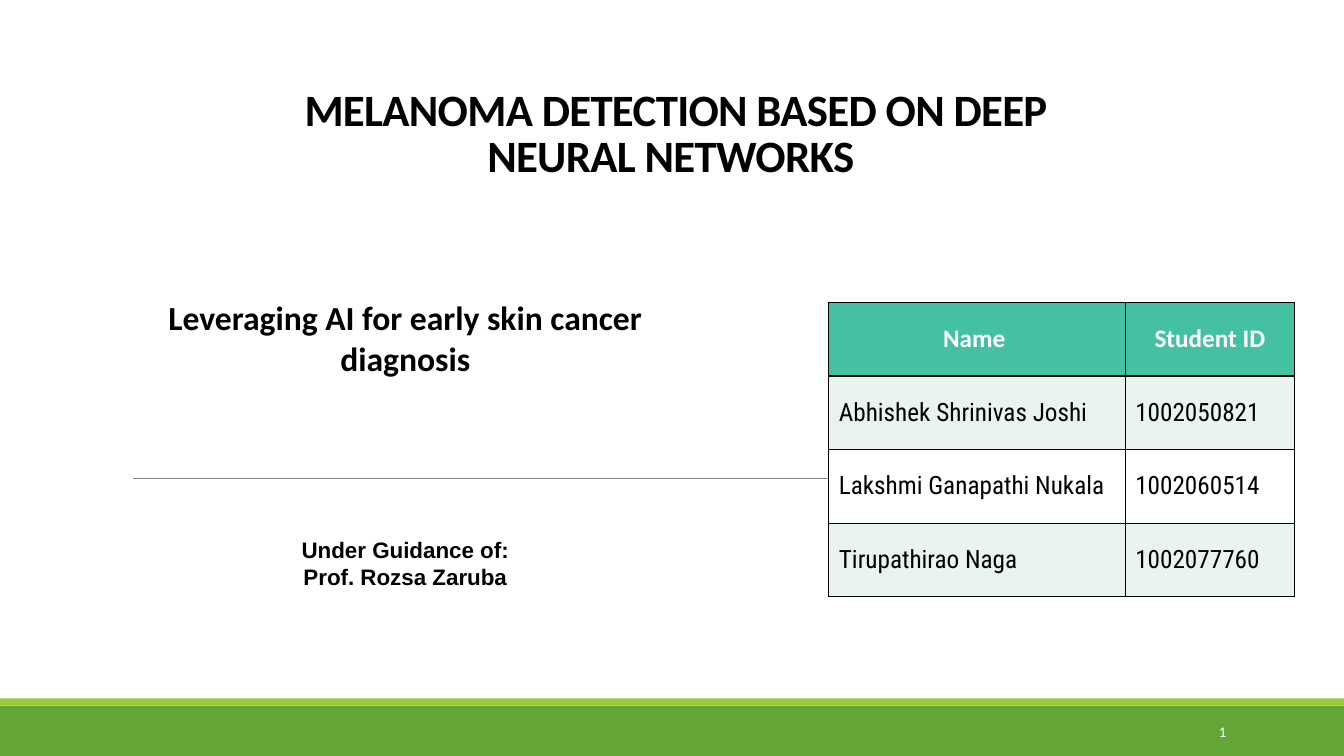
"""Build the title slide of a melanoma detection talk."""
from dataclasses import dataclass

from lxml import etree
from pptx import Presentation
from pptx import util as u
from pptx.dml import color
from pptx.enum import shapes, text
from pptx.oxml import ns
from pptx.slide import Slide

BLACK = color.RGBColor(0x00, 0x00, 0x00)
WHITE = color.RGBColor(0xFF, 0xFF, 0xFF)
GREEN = color.RGBColor(0x63, 0xA5, 0x37)
LIME = color.RGBColor(0x99, 0xCB, 0x38)
GRAY = color.RGBColor(0x80, 0x80, 0x80)
TEAL = color.RGBColor(0x44, 0xC1, 0xA3)
MINT = color.RGBColor(0xE9, 0xF4, 0xF0)

MID = text.PP_ALIGN.CENTER
LEFT = text.PP_ALIGN.LEFT
RIGHT = text.PP_ALIGN.RIGHT
TOP = text.MSO_ANCHOR.TOP
CORE = text.MSO_ANCHOR.MIDDLE
BASE = text.MSO_ANCHOR.BOTTOM

WIDTHS = (2.94, 1.68)
HEIGHT = 0.73
ROWS = (
    ("Name ", "Student ID"),
    ("Abhishek Shrinivas Joshi ", "1002050821 "),
    ("Lakshmi Ganapathi Nukala ", "1002060514"),
    ("Tirupathirao Naga ", "1002077760 "),
)


@dataclass(frozen=True)
class Style:
    """Look of a run and its paragraph."""
    size: float
    face: str = "Calibri"
    tint: color.RGBColor = BLACK
    bold: bool = True
    align: text.PP_ALIGN = MID
    lead: float = 1.0
    track: int = 0


@dataclass(frozen=True)
class Band:
    """Full-width strip at the foot of the slide."""
    top: float
    high: float
    fill: color.RGBColor


@dataclass(frozen=True)
class Label:
    """Text box with one run in each paragraph."""
    left: float
    top: float
    wide: float
    high: float
    lines: tuple[str, ...]
    style: Style
    anchor: text.MSO_ANCHOR = TOP


BANDS = (Band(7, 0.5, GREEN), Band(6.93, 0.07, LIME))
LABELS = (
    Label(2.76, 0.76, 7.88, 1.09,
          ("MELANOMA DETECTION BASED ON DEEP NEURAL NETWORKS ",),
          Style(32, lead=0.85, track=-50), BASE),
    Label(1.2, 2.9, 5.64, 0.91,
          ("Leveraging AI for early skin cancer diagnosis",), Style(24)),
    Label(2.52, 5.27, 3, 0.64,
          ("Under Guidance of:", "Prof. Rozsa Zaruba"), Style(16, "Arial")),
    Label(10.83, 7.06, 1.43, 0.4, ("1",),
          Style(10.5, tint=WHITE, bold=False, align=RIGHT), CORE),
)
HEAD = Style(18, tint=WHITE)
BODY = Style(18, "Roboto Condensed", bold=False, align=LEFT)


def write(frame, lines: tuple[str, ...], style: Style) -> None:
    """Fill a text frame, one run to a paragraph."""
    for i, line in enumerate(lines):
        para = frame.add_paragraph() if i else frame.paragraphs[0]
        para.alignment = style.align
        para.line_spacing = style.lead
        run = para.add_run()
        run.text = line
        font = run.font
        font.size, font.name, font.bold = u.Pt(style.size), style.face, style.bold
        font.color.rgb = style.tint
        if style.track:
            run._r.get_or_add_rPr().set("spc", str(style.track))


def add_band(slide: Slide, band: Band) -> None:
    """Draw a strip across the slide."""
    strip = slide.shapes.add_shape(
        shapes.MSO_SHAPE.RECTANGLE, 0, u.Inches(band.top),
        u.Inches(13.33), u.Inches(band.high))
    strip.shadow.inherit = False
    strip.fill.solid()
    strip.fill.fore_color.rgb = band.fill
    strip.line.fill.background()


def add_rule(slide: Slide) -> None:
    """Draw the thin line that runs behind the table."""
    y = u.Inches(4.75)
    rule = slide.shapes.add_connector(
        shapes.MSO_CONNECTOR.STRAIGHT, u.Inches(1.32), y, u.Inches(12.12), y)
    rule.line.color.rgb = GRAY
    rule.line.width = u.Pt(0.5)
    etree.SubElement(rule._element.spPr, ns.qn("a:effectLst"))


def add_label(slide: Slide, label: Label) -> None:
    """Place a text box."""
    box = slide.shapes.add_textbox(*map(
        u.Inches, (label.left, label.top, label.wide, label.high)))
    frame = box.text_frame
    frame.word_wrap = True
    frame.vertical_anchor = label.anchor
    write(frame, label.lines, label.style)


def add_edges(cell) -> None:
    """Give a cell black borders on all sides."""
    props = cell._tc.get_or_add_tcPr()
    for i, side in enumerate("LRTB"):
        edge = etree.Element(ns.qn(f"a:ln{side}"), w=str(u.Pt(1)))
        fill = etree.SubElement(edge, ns.qn("a:solidFill"))
        etree.SubElement(fill, ns.qn("a:srgbClr"), val=str(BLACK))
        props.insert(i, edge)


def add_team(slide: Slide) -> None:
    """Draw the table of students."""
    table = slide.shapes.add_table(
        len(ROWS), len(WIDTHS), u.Inches(8.22), u.Inches(3),
        u.Inches(sum(WIDTHS)), u.Inches(HEIGHT * len(ROWS))).table
    table.first_row = table.horz_banding = False
    for col, wide in zip(table.columns, WIDTHS):
        col.width = u.Inches(wide)
    for r, row in enumerate(ROWS):
        table.rows[r].height = u.Inches(HEIGHT)
        for c, word in enumerate(row):
            cell = table.cell(r, c)
            cell.vertical_anchor = CORE
            cell.fill.solid()
            cell.fill.fore_color.rgb = TEAL if r == 0 else MINT if r % 2 else WHITE
            add_edges(cell)
            write(cell.text_frame, (word,), BODY if r else HEAD)


def main() -> None:
    """Build and save the deck."""
    deck = Presentation()
    deck.slide_width, deck.slide_height = u.Inches(13.33), u.Inches(7.5)
    slide = deck.slides.add_slide(deck.slide_layouts[6])
    for band in BANDS:
        add_band(slide, band)
    add_rule(slide)
    add_team(slide)
    for label in LABELS:
        add_label(slide, label)
    deck.save("out.pptx")


if __name__ == "__main__":
    main()
